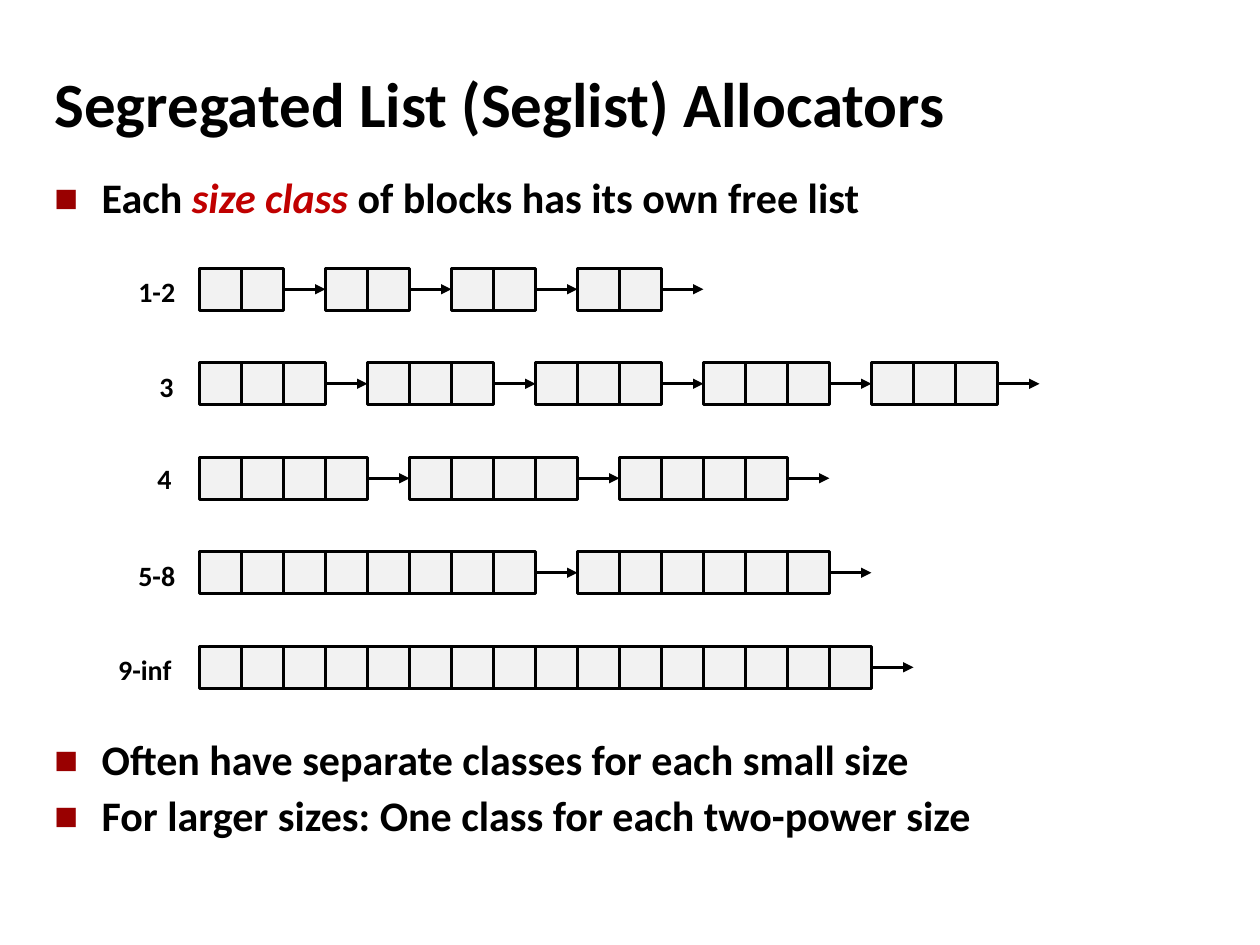
"""Build the slide on segregated list (seglist) allocators."""
from dataclasses import dataclass

from lxml.etree import SubElement
from pptx import Presentation
from pptx.dml.color import RGBColor as RGB
from pptx.enum.shapes import MSO_CONNECTOR as Connector, MSO_SHAPE as Shape
from pptx.enum.text import MSO_ANCHOR as Anchor
from pptx.oxml.ns import qn
from pptx.util import Pt


@dataclass(frozen=True)
class Theme:
    font: str = "Calibri"
    ink: RGB = RGB(0x00, 0x00, 0x00)
    accent: RGB = RGB(0xC0, 0x00, 0x00)
    bullet: RGB = RGB(0x99, 0x00, 0x00)
    cell: RGB = RGB(0xF2, 0xF2, 0xF2)
    title_size: float = 36
    body_size: float = 24
    label_size: float = 16
    line_width: float = 1.5


def add_text(paragraph, text, *, font, size, color, italic=False):
    run = paragraph.add_run()
    run.text = text
    run.font.name = font
    run.font.size = Pt(size)
    run.font.bold = True
    run.font.italic = italic
    run.font.color.rgb = color


class SlideBuilder:
    def __init__(self, slide, theme):
        self.shapes = slide.shapes
        self.theme = theme

    def frame(self, left, top, width, height, wrap=True):
        box = self.shapes.add_textbox(Pt(left), Pt(top), Pt(width), Pt(height))
        box.text_frame.word_wrap = wrap
        return box.text_frame

    def title(self, text, left, top, width, height):
        frame = self.frame(left, top, width, height)
        frame.vertical_anchor = Anchor.MIDDLE
        heading = frame.paragraphs[0]
        heading.line_spacing = 0.87
        add_text(heading, text, font=self.theme.font,
                 size=self.theme.title_size, color=self.theme.ink)

    def bullets(self, items, left, top, width, height):
        frame = self.frame(left, top, width, height)
        for index, pieces in enumerate(items):
            point = frame.add_paragraph() if index else frame.paragraphs[0]
            point.line_spacing = 0.95
            if index:
                point.space_before = Pt(4.3)
            self.mark(point)
            for text, emphasis in pieces:
                add_text(point, text, font=self.theme.font,
                         size=self.theme.body_size, italic=emphasis,
                         color=self.theme.accent if emphasis else self.theme.ink)

    def mark(self, point):
        properties = point._p.get_or_add_pPr()
        properties.set("marL", str(Pt(27)))
        properties.set("indent", str(-Pt(27)))
        color = SubElement(properties, qn("a:buClr"))
        SubElement(color, qn("a:srgbClr"), val=str(self.theme.bullet))
        SubElement(properties, qn("a:buSzPct"), val="60000")
        SubElement(properties, qn("a:buFont"), typeface=self.theme.font)
        SubElement(properties, qn("a:buChar"), char="■")

    def label(self, text, left, top, width):
        frame = self.frame(left, top, width, 26.64, wrap=False)
        add_text(frame.paragraphs[0], text, font=self.theme.font,
                 size=self.theme.label_size, color=self.theme.ink)

    def cell(self, left, top, side):
        square = self.shapes.add_shape(
            Shape.RECTANGLE, Pt(left), Pt(top), Pt(side), Pt(side))
        square.shadow.inherit = False
        square.fill.solid()
        square.fill.fore_color.rgb = self.theme.cell
        square.line.color.rgb = self.theme.ink
        square.line.width = Pt(self.theme.line_width)
        return square

    def block(self, left, top, side, count):
        return [self.cell(left + side * i, top, side) for i in range(count)]

    def arrow(self, left, y, length, source, target=None):
        link = self.shapes.add_connector(
            Connector.STRAIGHT, Pt(left), Pt(y), Pt(left + length), Pt(y))
        link.begin_connect(source, 3)
        if target is not None:
            link.end_connect(target, 1)
        link.line.color.rgb = self.theme.ink
        link.line.width = Pt(self.theme.line_width)
        SubElement(link.line._get_or_add_ln(), qn("a:tailEnd"), type="triangle")
        SubElement(link._element.spPr, qn("a:effectLst"))

    def free_list(self, left, top, side, sizes):
        last = None
        for size in sizes:
            block = self.block(left, top, side, size)
            if last is not None:
                self.arrow(left - side, top + side / 2, side, last, block[0])
            last = block[-1]
            left += side * (size + 1)
        self.arrow(left - side, top + side / 2, side, last)


FIRST_POINT = [
    [("Each ", False), ("size class ", True),
     ("of blocks has its own free list", False)],
]
CLOSING_POINTS = [
    [("Often have separate classes for each small size", False)],
    [("For larger sizes: One class for each two-power size", False)],
]
SIZE_CLASSES = [
    ("1-2", 72, 153.5, 36, [2] * 4),
    ("3", 84, 207.5, 23, [3] * 5),
    ("4", 82.8, 260, 23, [4] * 3),
    ("5-8", 72, 315.5, 36, [8, 6]),
    ("9-inf", 60.5, 369.5, 45.4, [16]),
]


def main():
    deck = Presentation()
    deck.slide_width, deck.slide_height = Pt(720), Pt(540)
    builder = SlideBuilder(deck.slides.add_slide(deck.slide_layouts[6]), Theme())
    builder.title("Segregated List (Seglist) Allocators", 24, 39, 648, 45)
    builder.bullets(FIRST_POINT, 24, 96.5, 654.5, 36)
    for row, (name, left, top, width, sizes) in enumerate(SIZE_CLASSES):
        builder.free_list(114, 153.3 + 54 * row, 24, sizes)
        builder.label(name, left, top, width)
    builder.bullets(CLOSING_POINTS, 24, 418, 654.5, 68)
    deck.save("out.pptx")


if __name__ == "__main__":
    main()
